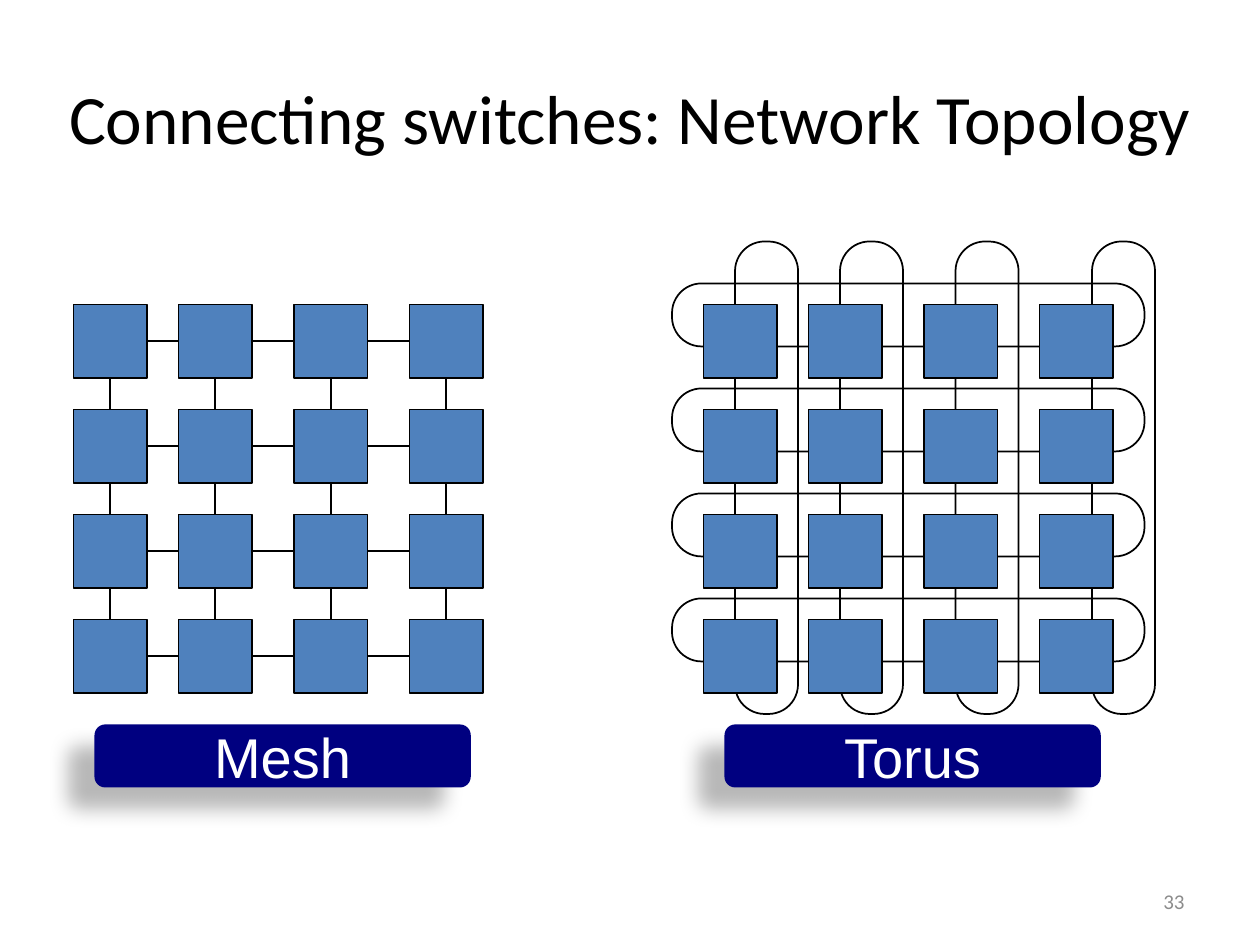
from lxml import etree
from pptx import Presentation
from pptx.dml.color import RGBColor
from pptx.enum.shapes import MSO_CONNECTOR, MSO_SHAPE
from pptx.enum.text import MSO_ANCHOR, PP_ALIGN
from pptx.oxml.ns import qn
from pptx.util import Pt

RECT, ROUND = MSO_SHAPE.RECTANGLE, MSO_SHAPE.ROUNDED_RECTANGLE
STRAIGHT = MSO_CONNECTOR.STRAIGHT
MIDDLE = MSO_ANCHOR.MIDDLE
CENTER, RIGHT = PP_ALIGN.CENTER, PP_ALIGN.RIGHT
BOTTOM_SITE, RIGHT_SITE, TOP_SITE, LEFT_SITE = 2, 3, 0, 1

COLORS = {"black": "000000", "switch": "4F81BD", "label": "000080",
          "white": "FFFFFF", "gray": "8C8C8C"}
RGB = {name: RGBColor.from_string(value) for name, value in COLORS.items()}
COLUMNS = [42, 102, 168, 234]
ROWS = [174, 234, 294, 354]
SIZE = 42
TORUS_X = 360


def write(sp, text, size, color, font="Calibri", align=CENTER, wrap=True):
    tf = sp.text_frame
    tf.word_wrap = wrap
    tf.vertical_anchor = MIDDLE
    p = tf.paragraphs[0]
    p.alignment = align
    r = p.add_run()
    r.text = text
    r.font.size = Pt(size)
    r.font.name = font
    r.font.color.rgb = RGB[color]


def add_box(kind, x, y, w, h, fill=None, line=None):
    sp = s.shapes.add_shape(kind, Pt(x), Pt(y), Pt(w), Pt(h))
    sp.shadow.inherit = False
    if fill:
        sp.fill.solid()
        sp.fill.fore_color.rgb = RGB[fill]
    else:
        sp.fill.background()
    if line:
        sp.line.color.rgb = RGB[line]
        sp.line.width = Pt(1)
    else:
        sp.line.fill.background()
    return sp


prs = Presentation()
prs.slide_width, prs.slide_height = Pt(720), Pt(540)
s = prs.slides.add_slide(prs.slide_layouts[5])

title = s.shapes.title
title.left, title.top, title.width, title.height = Pt(12), Pt(21.6), Pt(696), Pt(90)
write(title, "Connecting switches: Network Topology", 39.6, "black")

mesh = [[add_box(RECT, x, y, SIZE, SIZE, "switch", "black") for x in COLUMNS]
        for y in ROWS]
links = [(mesh[i][j], BOTTOM_SITE, mesh[i + 1][j], TOP_SITE)
         for i in range(3) for j in range(4)]
links += [(mesh[i][j], RIGHT_SITE, mesh[i][j + 1], LEFT_SITE)
          for i in range(4) for j in range(3)]
for start, start_site, end, end_site in links:
    cx = s.shapes.add_connector(STRAIGHT, 0, 0, 0, 0)
    cx.begin_connect(start, start_site)
    cx.end_connect(end, end_site)
    cx.line.color.rgb = RGB["black"]
    cx.line.width = Pt(1)
    etree.SubElement(cx._element.spPr, qn("a:effectLst"))

loops = [(x, 255, 90) for x in (507, 429, 363, 303)]
loops += [(384, y - 12, 0) for y in reversed(ROWS)]
for x, y, rotation in loops:
    loop = add_box(ROUND, x, y, 270, 36, line="black")
    loop.adjustments[0] = 0.47
    loop.rotation = rotation

for y in ROWS:
    for x in COLUMNS:
        add_box(RECT, x + TORUS_X, y, SIZE, SIZE, "switch", "black")

for text, x in (("Mesh", 54), ("Torus", 54 + TORUS_X)):
    label = add_box(ROUND, x, 414, 215, 36, "label")
    label.adjustments[0] = 0.17
    write(label, text, 32, "white", font="Arial", wrap=False)
    effects = label._element.spPr.find(qn("a:effectLst"))
    shadow = etree.SubElement(effects, qn("a:outerShdw"), blurRad=str(Pt(11.8)),
                              dist=str(Pt(19.7)), dir=str(141 * 60000),
                              algn="ctr", rotWithShape="0")
    color = etree.SubElement(shadow, qn("a:srgbClr"), val=COLORS["black"])
    etree.SubElement(color, qn("a:alpha"), val="28000")

number = s.shapes.add_textbox(Pt(516), Pt(500.5), Pt(168), Pt(28.8))
write(number, "33", 12, "gray", align=RIGHT)

prs.save("out.pptx")
